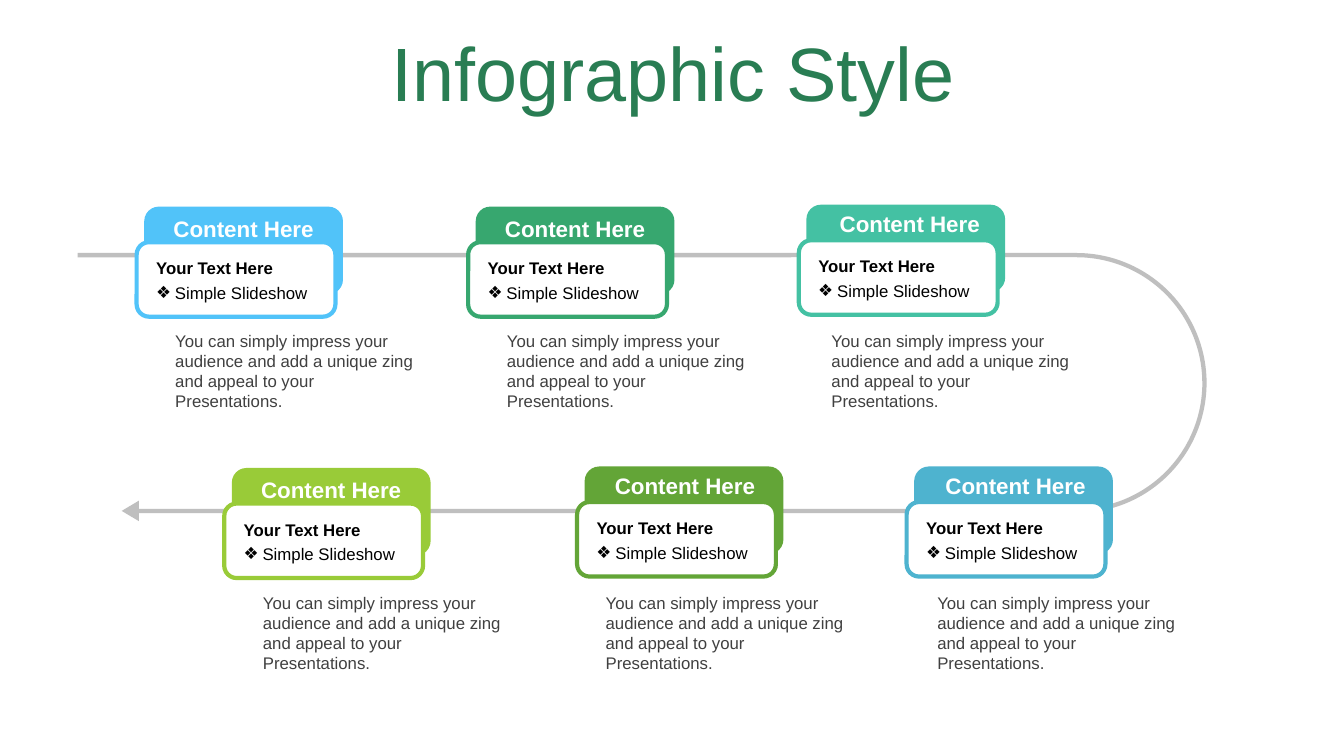
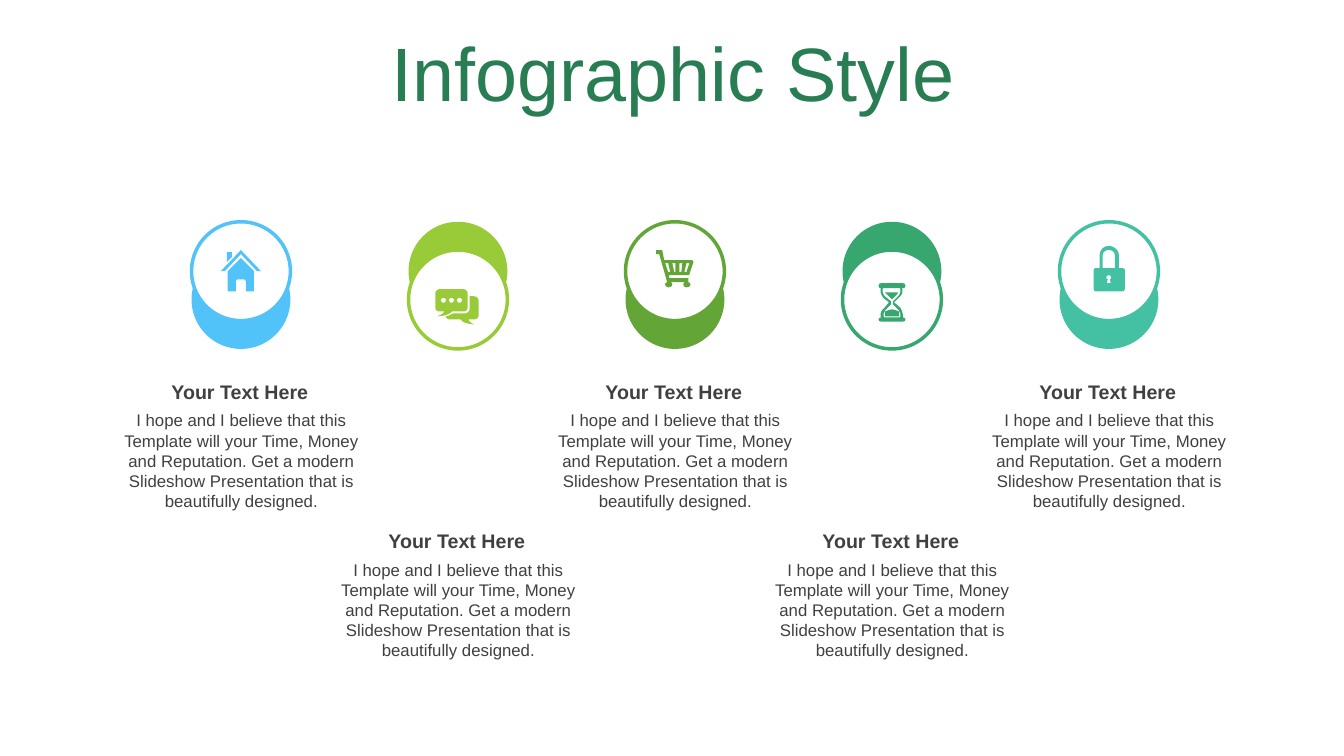
import lxml.etree
import pptx
import pptx.dml.color
import pptx.enum.shapes
import pptx.enum.text
import pptx.oxml.ns
import pptx.util

Pt = pptx.util.Pt
SHAPES = pptx.enum.shapes.MSO_SHAPE
ANCHOR = pptx.enum.text.MSO_ANCHOR
ALIGN = pptx.enum.text.PP_ALIGN

WHITE, BLACK, GRAY, SILVER = "FFFFFF", "000000", "404040", "BFBFBF"
TITLE_GREEN = "297D53"
SKY, LIME, LEAF, EMERALD, MINT, OCEAN = (
    "51C3F9", "99CB38", "63A537", "37A76F", "44C1A3", "4EB3CF")

CARD_TEXT = ("You can simply impress your audience and add a unique zing "
             "and appeal to your Presentations.")
COLUMN_TEXT = ("I hope and I believe that this Template will your Time, Money "
               "and Reputation. Get a modern Slideshow Presentation that is "
               "beautifully designed.")

# Colour, left, top, heading shift right and down, description left and top
CARDS = [
    (SKY, 103, 147.6, 0, 2.2, 118.1, 232.6),
    (EMERALD, 339.8, 147.6, 0, 2.2, 355, 232.6),
    (MINT, 576, 146.2, 2.9, 0.7, 586.8, 232.6),
    (LIME, 165.6, 334.3, 0, 2.5, 180.7, 419.8),
    (LEAF, 417.6, 333.2, 0.7, 0.8, 425.5, 419.8),
    (OCEAN, 653, 333.2, 1.4, 0.8, 662.4, 419.8),
]

# Outlines in grid units: M move, L line, C cubic curve, Z close
ICON_UNIT = 0.72
HOUSE = """
    M 20 8 L 33 21 L 33 41 L 25 41 L 25 32 C 25 30 24 29 22 29 L 18 29
    C 16 29 15 30 15 32 L 15 41 L 7 41 L 7 21 Z
    M 6 2 L 11 2 L 11 7 L 6 12 Z
    M 20 0 L 40 21 L 36 21 L 20 4 L 4 21 L 0 21 Z"""
CHAT_DOTS = " ".join(
    f"M {x} 8.5 C {x + 3.3} 8.5 {x + 3.3} 13.5 {x} 13.5 "
    f"C {x - 3.3} 13.5 {x - 3.3} 8.5 {x} 8.5 Z" for x in (8, 16, 24))
CHAT = CHAT_DOTS + """
    M 34 7 L 38 7 C 41 7 43 9 43 12 L 43 26 C 43 28 41 30 38 30 L 33 30
    C 34 32 34 33 39 35 C 31 34 29 34 25 30 L 14 30 C 13 30 11 29 10 27
    C 13 27 15 25 18 24 L 29 24 C 32 24 34 22 34 19 Z
    M 4 0 L 28 0 C 30 0 32 2 32 4 L 32 18 C 32 21 30 22 28 22 L 17 22
    C 12 26 10 26 2 27 C 6 25 7 25 9 22 L 4 22 C 2 22 0 21 0 18 L 0 4
    C 0 2 2 0 4 0 Z"""
CART = """
    M 30 13 L 28 22 L 30 22 L 33 13 Z M 23 13 L 23 22 L 25 22 L 26 13 Z
    M 16 13 L 18 22 L 19 22 L 19 13 Z M 9 13 L 12 22 L 14 22 L 12 13 Z
    M 6 0 L 8 10 L 35 10 C 36 10 37 11 37 12 L 33 24 C 33 25 32 25 31 25
    L 13 25 L 13 28 L 32 28 L 32 32 C 33 32 34 33 34 34 C 34 36 32 37 30 37
    C 29 37 27 36 27 34 C 27 33 28 32 29 32 L 14 32 C 15 32 16 33 16 34
    C 16 36 14 37 12 37 C 11 37 9 36 9 34 C 9 33 10 32 11 32
    L 3 4 L 0 4 L 0 0 Z"""
HOURGLASS = """
    M 13 26 C 15 26 17 27 20 28 L 20 33 L 6 33 L 6 28 C 9 27 11 26 13 26 Z
    M 6 9 L 19 9 L 18 11 L 13 16 L 8 11 Z
    M 4 5 C 3 8 4 11 6 13 L 12 18 L 12 21 L 7 26 C 5 28 4 31 5 34 L 21 34
    C 22 31 21 28 19 26 L 14 21 L 14 18 L 19 13 C 21 11 22 8 21 5 Z
    M 2 0 L 24 0 C 27 0 27 5 24 5 L 23 5 C 24 8 23 12 20 14 L 15 19 L 21 24
    C 23 27 24 31 24 34 C 27 34 27 38 24 38 L 2 38 C -1 38 -1 34 2 34
    C 1 31 2 27 5 25 L 10 19 L 5 15 C 2 12 1 8 2 5 C -1 5 -1 0 2 0 Z"""
LOCK = """
    M 15 29 C 12 29 12 33 14 33 L 13 37 L 17 37 L 16 33 C 18 33 18 29 15 29 Z
    M 15 4 C 12 4 9 6 9 9 L 9 22 L 21 22 L 21 9 C 21 6 18 4 15 4 Z
    M 15 0 C 20 0 25 4 25 9 L 25 22 L 28 22 C 30 22 31 23 31 24 L 31 42
    C 31 44 30 45 28 45 L 2 45 C 1 45 0 44 0 42 L 0 24 C 0 23 1 22 2 22
    L 6 22 L 6 9 C 6 4 10 0 15 0 Z"""

# Colour, outline, icon left and top
COLUMNS = [
    (SKY, HOUSE, 157.7, 178.6),
    (LIME, CHAT, 311, 206.6),
    (LEAF, CART, 468.7, 178.6),
    (EMERALD, HOURGLASS, 627.8, 202.3),
    (MINT, LOCK, 781.2, 175.7),
]
COLUMN_PITCH = 155


def rgb(value):
    return pptx.dml.color.RGBColor.from_string(value)


def curve_points(start, controls, steps=8):
    """Points along a cubic curve, without its start."""
    points = [start, *controls]
    for step in range(1, steps + 1):
        t = step / steps
        weights = ((1 - t) ** 3, 3 * t * (1 - t) ** 2, 3 * t * t * (1 - t), t ** 3)
        yield tuple(sum(weight * point[axis] for weight, point in zip(weights, points))
                    for axis in (0, 1))


def contours(outline):
    """Turn an outline string into lists of points, one for each closed contour."""
    for contour in outline.split("Z")[:-1]:
        points, tokens = [], contour.split()
        while tokens:
            count = 3 if tokens.pop(0) == "C" else 1
            numbers = [float(token) * Pt(ICON_UNIT) for token in tokens[:2 * count]]
            tokens = tokens[2 * count:]
            pairs = list(zip(numbers[::2], numbers[1::2]))
            points += curve_points(points[-1], pairs) if count == 3 else pairs
        yield points


class Deck:
    font = "Arial"

    def __init__(self):
        self.presentation = pptx.Presentation()
        self.presentation.slide_width = Pt(960)
        self.presentation.slide_height = Pt(540)
        self.slide = None

    def add_slide(self, title):
        self.slide = self.presentation.slides.add_slide(
            self.presentation.slide_layouts[6])
        box = self.text(title, 25.2, 26.6, 911.5, 56.9, 54, TITLE_GREEN,
                        align=ALIGN.CENTER, anchor=ANCHOR.MIDDLE, grow=False)
        box.text_frame.paragraphs[0].line_spacing = 0.9

    def text(self, words, left, top, width, height, size, color, bold=False,
             align=ALIGN.LEFT, anchor=ANCHOR.TOP, bullet=None, grow=True):
        box = self.slide.shapes.add_textbox(Pt(left), Pt(top), Pt(width), Pt(height))
        frame = box.text_frame
        frame.word_wrap = True
        frame.vertical_anchor = anchor
        if grow:
            frame.auto_size = pptx.enum.text.MSO_AUTO_SIZE.SHAPE_TO_FIT_TEXT
        paragraph = frame.paragraphs[0]
        paragraph.alignment = align
        if bullet:
            self.bullet(paragraph, bullet)
        run = paragraph.add_run()
        run.text = words
        run.font.name = self.font
        run.font.size = Pt(size)
        run.font.bold = bold
        run.font.color.rgb = rgb(color)
        return box

    def bullet(self, paragraph, symbol):
        properties = paragraph._p.get_or_add_pPr()
        indent = Pt(13.5)
        properties.set("marL", str(indent))
        properties.set("indent", str(-indent))
        for tag, name, value in (("a:buFont", "typeface", self.font),
                                 ("a:buChar", "char", symbol)):
            element = lxml.etree.SubElement(properties, pptx.oxml.ns.qn(tag))
            element.set(name, value)

    def paint(self, shape, fill, line=None, line_width=0):
        shape.shadow.inherit = False
        shape.fill.solid()
        shape.fill.fore_color.rgb = rgb(fill)
        if line:
            shape.line.color.rgb = rgb(line)
            shape.line.width = Pt(line_width)
        else:
            shape.line.fill.background()

    def shape(self, kind, left, top, width, height, fill, line=None, line_width=0):
        shape = self.slide.shapes.add_shape(
            kind, Pt(left), Pt(top), Pt(width), Pt(height))
        self.paint(shape, fill, line, line_width)
        return shape

    def icon(self, outline, left, top, color):
        builder = None
        for start, *rest in contours(outline):
            if builder is None:
                builder = self.slide.shapes.build_freeform(*start)
            else:
                builder.move_to(*start)
            builder.add_line_segments(rest, close=True)
        self.paint(builder.convert_to_shape(Pt(left), Pt(top)), color)

    def return_arrow(self):
        arrow = self.shape(SHAPES.U_TURN_ARROW, 362.9, -126.7, 191.5, 806.4, SILVER)
        arrow.rotation = 90
        for index, value in enumerate((0.016, 0.038, 0.064, 0.485, 0.961)):
            arrow.adjustments[index] = value

    def card(self, color, left, top, shift_right, shift_down, text_left, text_top):
        self.shape(SHAPES.ROUNDED_RECTANGLE, left, top, 142, 62.6, color)
        self.shape(SHAPES.ROUNDED_RECTANGLE, left - 5.4, top + 25.4, 142, 53.2,
                   WHITE, color, 3)
        self.text("Content Here", left + shift_right, top + shift_down, 142, 26.6,
                  16, WHITE, bold=True, align=ALIGN.CENTER)
        self.text("Your Text Here", left + 1.4, top + 33.1, 135.4, 21.6,
                  12, BLACK, bold=True, anchor=ANCHOR.MIDDLE)
        self.text("Simple Slideshow", left + 1.4, top + 50.6, 134.6, 21.6,
                  12, BLACK, anchor=ANCHOR.MIDDLE, bullet="❖")
        self.text(CARD_TEXT, text_left, text_top, 192.5, 51.1, 12, GRAY)

    def column(self, index, color, outline, icon_left, icon_top):
        lowered = index % 2
        shift = index * COLUMN_PITCH
        ring_top, disc_top = (178.6, 158.4) if lowered else (158.4, 178.6)
        self.shape(SHAPES.OVAL, 136.8 + shift, disc_top, 70.6, 70.6, color)
        self.shape(SHAPES.OVAL, 136.8 + shift, ring_top, 70.6, 70.6, WHITE, color, 2.5)
        self.icon(outline, icon_left, icon_top, color)
        text_top = 374.4 if lowered else 267.8
        self.text("Your Text Here", 79.2 + shift, text_top, 184.3, 24.5, 14, GRAY,
                  bold=True, align=ALIGN.CENTER)
        self.text(COLUMN_TEXT, 79.2 + shift, text_top + 21.6, 186.5, 79.9, 12, GRAY,
                  align=ALIGN.CENTER)


def main():
    deck = Deck()
    deck.add_slide("Infographic Style")
    deck.return_arrow()
    for card in CARDS:
        deck.card(*card)

    deck.add_slide("Infographic Style")
    for index, column in enumerate(COLUMNS):
        deck.column(index, *column)

    deck.presentation.save("out.pptx")


if __name__ == "__main__":
    main()
